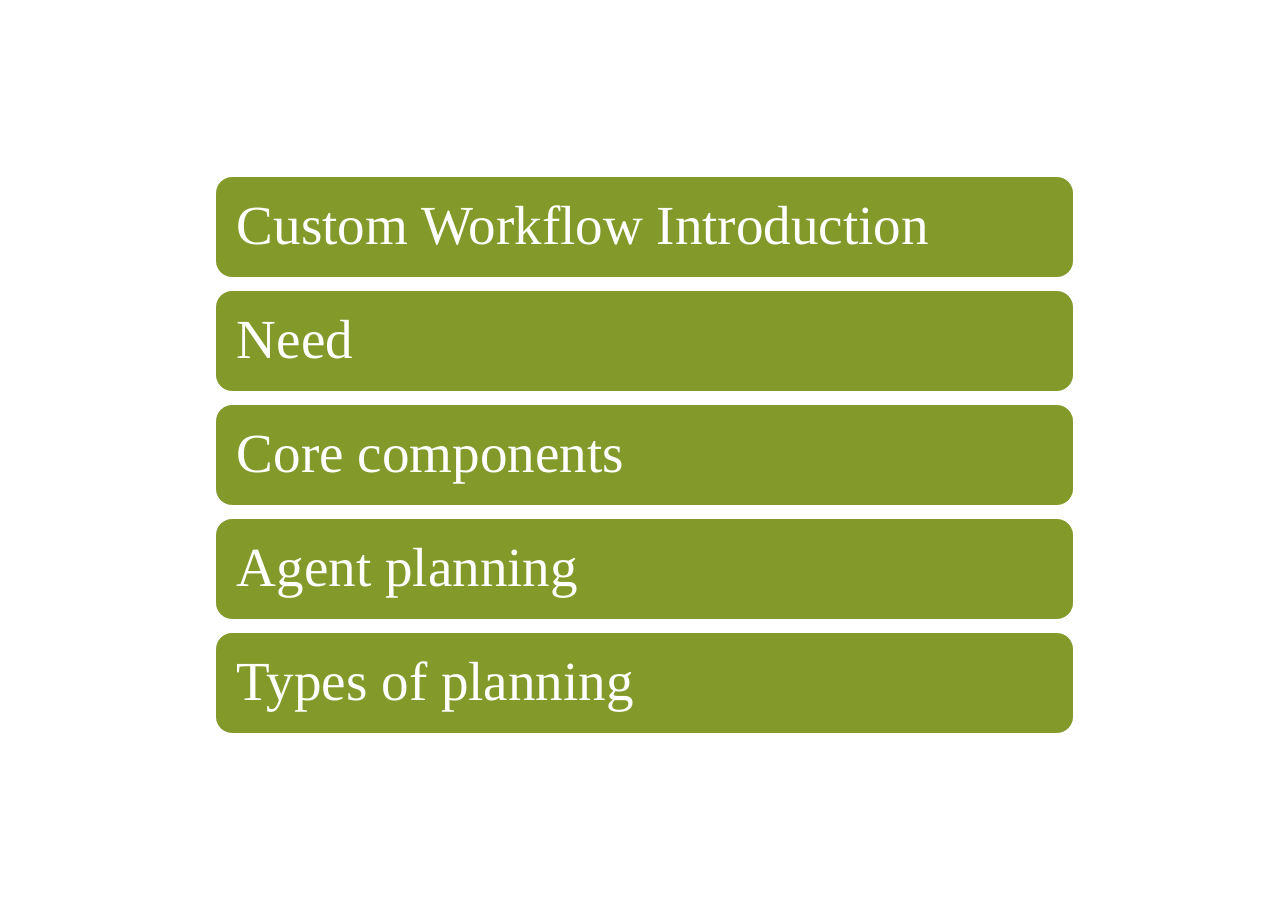
from dataclasses import dataclass

from pptx import Presentation
from pptx.dml.color import RGBColor
from pptx.enum.shapes import MSO_SHAPE as Shape
from pptx.enum.text import MSO_ANCHOR as Anchor, PP_ALIGN as Align
from pptx.util import Emu, Pt

TOPICS = [
    "Custom Workflow Introduction",
    "Need",
    "Core components",
    "Agent planning",
    "Types of planning",
]


@dataclass(frozen=True)
class Theme:
    bar: RGBColor = RGBColor.from_string("83992A")
    light: RGBColor = RGBColor.from_string("FFFFFF")
    font: str = "Times New Roman"
    topic_size: float = 36
    outline: float = 1.25


THEME = Theme()
EMU_PER_PX = 914400 / 110.2
SLIDE_WIDTH, SLIDE_HEIGHT = 1288, 910
BAR_LEFT, BAR_WIDTH, BAR_HEIGHT = 215, 859, 102
BAR_PITCH = 114
TEXT_INSET = 17


def px(length):
    return Emu(round(length * EMU_PER_PX))


def write_text(shape, text, *, size, color, font, inset, line_spacing):
    frame = shape.text_frame
    frame.word_wrap = True
    frame.vertical_anchor = Anchor.MIDDLE
    frame.margin_left = frame.margin_right = px(inset)
    frame.margin_top = frame.margin_bottom = px(inset)
    paragraph = frame.paragraphs[0]
    paragraph.alignment = Align.LEFT
    paragraph.line_spacing = line_spacing
    run = paragraph.add_run()
    run.text = text
    run.font.size = Pt(size)
    run.font.name = font
    run.font.color.rgb = color


def add_topic_bar(slide, topic, top):
    shape = slide.shapes.add_shape(
        Shape.ROUNDED_RECTANGLE, px(BAR_LEFT), px(top), px(BAR_WIDTH), px(BAR_HEIGHT)
    )
    shape.shadow.inherit = False
    shape.fill.solid()
    shape.fill.fore_color.rgb = THEME.bar
    shape.line.color.rgb = THEME.light
    shape.line.width = Pt(THEME.outline)
    write_text(
        shape,
        topic,
        size=THEME.topic_size,
        color=THEME.light,
        font=THEME.font,
        inset=TEXT_INSET,
        line_spacing=0.9,
    )


def main():
    presentation = Presentation()
    presentation.slide_width = px(SLIDE_WIDTH)
    presentation.slide_height = px(SLIDE_HEIGHT)
    slide = presentation.slides.add_slide(presentation.slide_layouts[6])
    stack_height = (len(TOPICS) - 1) * BAR_PITCH + BAR_HEIGHT
    first_top = (SLIDE_HEIGHT - stack_height) // 2
    for row, topic in enumerate(TOPICS):
        add_topic_bar(slide, topic, first_top + row * BAR_PITCH)
    presentation.save("out.pptx")


if __name__ == "__main__":
    main()
